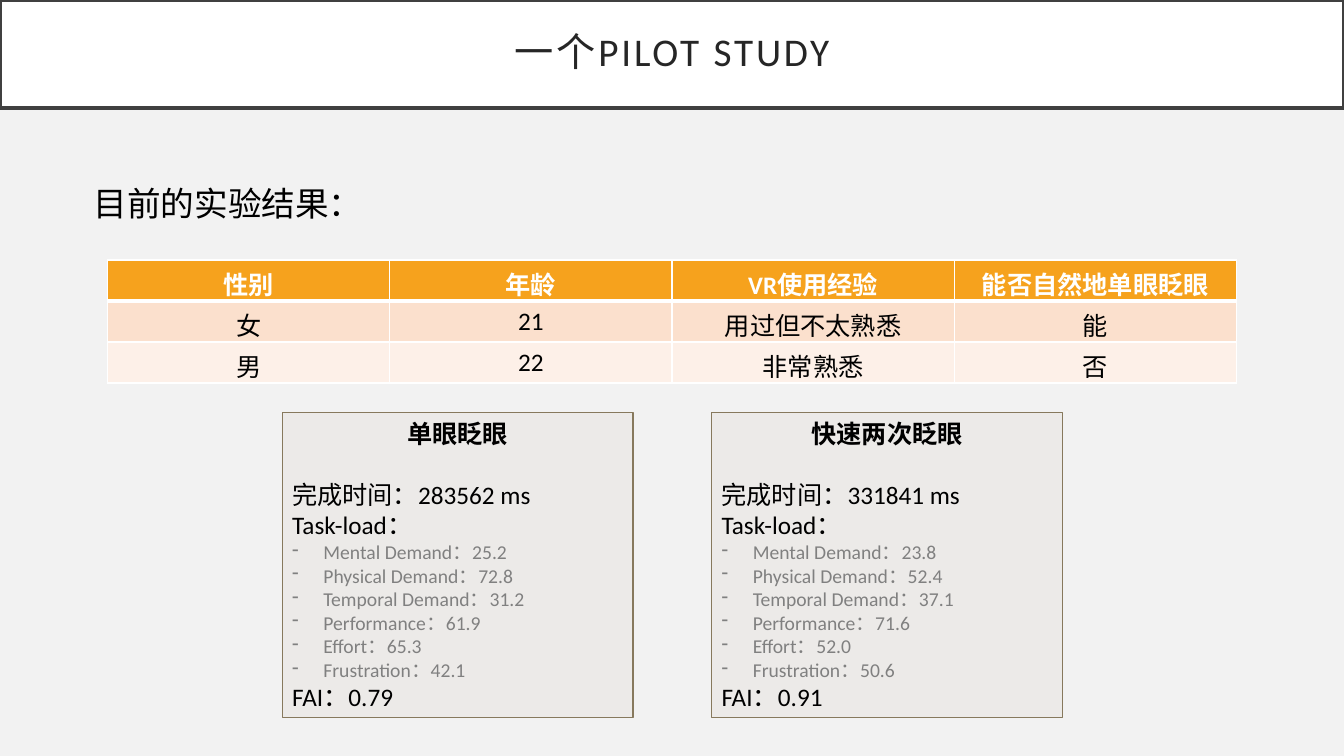
from dataclasses import dataclass

from lxml.etree import SubElement
from pptx import Presentation
from pptx.dml.color import RGBColor
from pptx.enum.shapes import MSO_SHAPE
from pptx.enum.text import MSO_ANCHOR, MSO_AUTO_SIZE, PP_ALIGN
from pptx.oxml.ns import qn
from pptx.slide import Slide
from pptx.table import _Cell
from pptx.text.text import TextFrame, _Paragraph
from pptx.util import Inches, Length, Pt

SLIDE_W, SLIDE_H = Inches(13.33), Inches(7.5)


@dataclass(frozen=True)
class Theme:
    font: str = "Calibri"
    background: str = "F2F2F2"
    white: str = "FFFFFF"
    black: str = "000000"
    title_text: str = "262626"
    title_line: str = "404040"
    header: str = "F6A21D"
    bands: tuple[str, str] = ("FBE0CD", "FDF0E8")
    card: str = "ECEAE8"
    card_line: str = "87795D"
    muted: str = "808080"
    title_size: int = 28
    lead_size: int = 24
    body_size: int = 18
    detail_size: int = 14


@dataclass(frozen=True)
class Box:
    """A place on the slide, in percent of its width and height."""
    left: float
    top: float
    width: float
    height: float

    def emu(self) -> tuple[int, int, int, int]:
        return (round(self.left * SLIDE_W / 100), round(self.top * SLIDE_H / 100),
                round(self.width * SLIDE_W / 100), round(self.height * SLIDE_H / 100))


@dataclass(frozen=True)
class Technique:
    name: str
    time_ms: int
    loads: tuple[float, ...]
    fai: float


THEME = Theme()
TITLE_BOX = Box(0, 0, 100, 14.27)
LEAD_BOX = Box(6.23, 23.6, 88.3, 6.67)
TABLE_BOX = Box(8, 34.4, 84, 16.27)
CARD_LEFT, CARD_PITCH = 21, 31.95
LOAD_NAMES = ("Mental Demand", "Physical Demand", "Temporal Demand",
              "Performance", "Effort", "Frustration")
PARTICIPANTS = (
    ("性别", "年龄", "VR使用经验", "能否自然地单眼眨眼"),
    ("女", "21", "用过但不太熟悉", "能"),
    ("男", "22", "非常熟悉", "否"),
)
TECHNIQUES = (
    Technique("单眼眨眼", 283562, (25.2, 72.8, 31.2, 61.9, 65.3, 42.1), 0.79),
    Technique("快速两次眨眼", 331841, (23.8, 52.4, 37.1, 71.6, 52.0, 50.6), 0.91),
)


def rgb(color: str) -> RGBColor:
    return RGBColor.from_string(color)


def style(p: _Paragraph, size: int, color: str = THEME.black, bold: bool = False,
          align: PP_ALIGN = PP_ALIGN.LEFT) -> None:
    p.alignment = align
    for r in p.runs:
        r.font.name, r.font.size, r.font.bold = THEME.font, Pt(size), bold
        r.font.color.rgb = rgb(color)


def add_line(tf: TextFrame, text: str) -> _Paragraph:
    p = tf.add_paragraph()
    p.text = text
    return p


def set_dash_bullet(p: _Paragraph, indent: Length) -> None:
    pPr = p._p.get_or_add_pPr()
    pPr.set("marL", str(indent))
    pPr.set("indent", str(-indent))
    SubElement(pPr, qn("a:buChar")).set("char", "-")


def set_borders(cell: _Cell, top: int, bottom: int) -> None:
    """Draw white borders; must run before the cell gets its fill."""
    tcPr = cell._tc.get_or_add_tcPr()
    for side, width in (("L", 1), ("R", 1), ("T", top), ("B", bottom)):
        ln = SubElement(tcPr, qn(f"a:ln{side}"), w=str(Pt(width)))
        fill = SubElement(ln, qn("a:solidFill"))
        SubElement(fill, qn("a:srgbClr"), val=THEME.white)


def add_title(s: Slide, text: str) -> None:
    sp = s.shapes.title
    sp.left, sp.top, sp.width, sp.height = TITLE_BOX.emu()
    sp.fill.solid()
    sp.fill.fore_color.rgb = rgb(THEME.white)
    sp.line.color.rgb = rgb(THEME.title_line)
    sp.line.width = Pt(2.5)
    tf = sp.text_frame
    tf.text = text
    tf.word_wrap = True
    tf.auto_size = MSO_AUTO_SIZE.NONE
    tf.vertical_anchor = MSO_ANCHOR.MIDDLE
    tf.margin_left = tf.margin_right = tf.margin_top = tf.margin_bottom = Inches(0.2)
    p = tf.paragraphs[0]
    p.line_spacing = 0.9
    style(p, THEME.title_size, THEME.title_text, align=PP_ALIGN.CENTER)
    p.runs[0].font._element.set("spc", "200")


def add_lead(s: Slide, text: str) -> None:
    tf = s.shapes.add_textbox(*LEAD_BOX.emu()).text_frame
    tf.word_wrap = True
    tf.auto_size = MSO_AUTO_SIZE.SHAPE_TO_FIT_TEXT
    tf.text = text
    style(tf.paragraphs[0], THEME.lead_size)


def add_participants(s: Slide) -> None:
    rows, cols = len(PARTICIPANTS), len(PARTICIPANTS[0])
    table = s.shapes.add_table(rows, cols, *TABLE_BOX.emu()).table
    for i, values in enumerate(PARTICIPANTS):
        header = i == 0
        for j, value in enumerate(values):
            cell = table.cell(i, j)
            set_borders(cell, top=3 if i == 1 else 1, bottom=3 if header else 1)
            cell.fill.solid()
            cell.fill.fore_color.rgb = rgb(THEME.header if header else THEME.bands[i - 1])
            cell.vertical_anchor = MSO_ANCHOR.MIDDLE
            cell.text = value
            style(cell.text_frame.paragraphs[0], THEME.body_size,
                  THEME.white if header else THEME.black, header, PP_ALIGN.CENTER)


def add_card(s: Slide, box: Box, technique: Technique) -> None:
    sp = s.shapes.add_shape(MSO_SHAPE.RECTANGLE, *box.emu())
    sp.shadow.inherit = False
    sp.fill.solid()
    sp.fill.fore_color.rgb = rgb(THEME.card)
    sp.line.color.rgb = rgb(THEME.card_line)
    sp.line.width = Pt(1)
    tf = sp.text_frame
    tf.word_wrap = True
    tf.auto_size = MSO_AUTO_SIZE.SHAPE_TO_FIT_TEXT
    tf.text = technique.name
    style(tf.paragraphs[0], THEME.body_size, bold=True, align=PP_ALIGN.CENTER)
    p = add_line(tf, f"完成时间：{technique.time_ms} ms")
    p.space_before = Pt(22)
    style(p, THEME.body_size)
    style(add_line(tf, "Task-load："), THEME.body_size)
    for name, load in zip(LOAD_NAMES, technique.loads):
        p = add_line(tf, f"{name}：{load:.1f}")
        set_dash_bullet(p, Inches(0.31))
        style(p, THEME.detail_size, THEME.muted)
    style(add_line(tf, f"FAI：{technique.fai}"), THEME.body_size)


def main() -> None:
    prs = Presentation()
    prs.slide_width, prs.slide_height = SLIDE_W, SLIDE_H
    s = prs.slides.add_slide(prs.slide_layouts.get_by_name("Title Only"))
    s.background.fill.solid()
    s.background.fill.fore_color.rgb = rgb(THEME.background)
    add_title(s, "一个PILOT STUDY")
    add_lead(s, "目前的实验结果：")
    add_participants(s)
    for i, technique in enumerate(TECHNIQUES):
        add_card(s, Box(CARD_LEFT + i * CARD_PITCH, 54.53, 26.1, 40.4), technique)
    prs.save("out.pptx")


if __name__ == "__main__":
    main()
